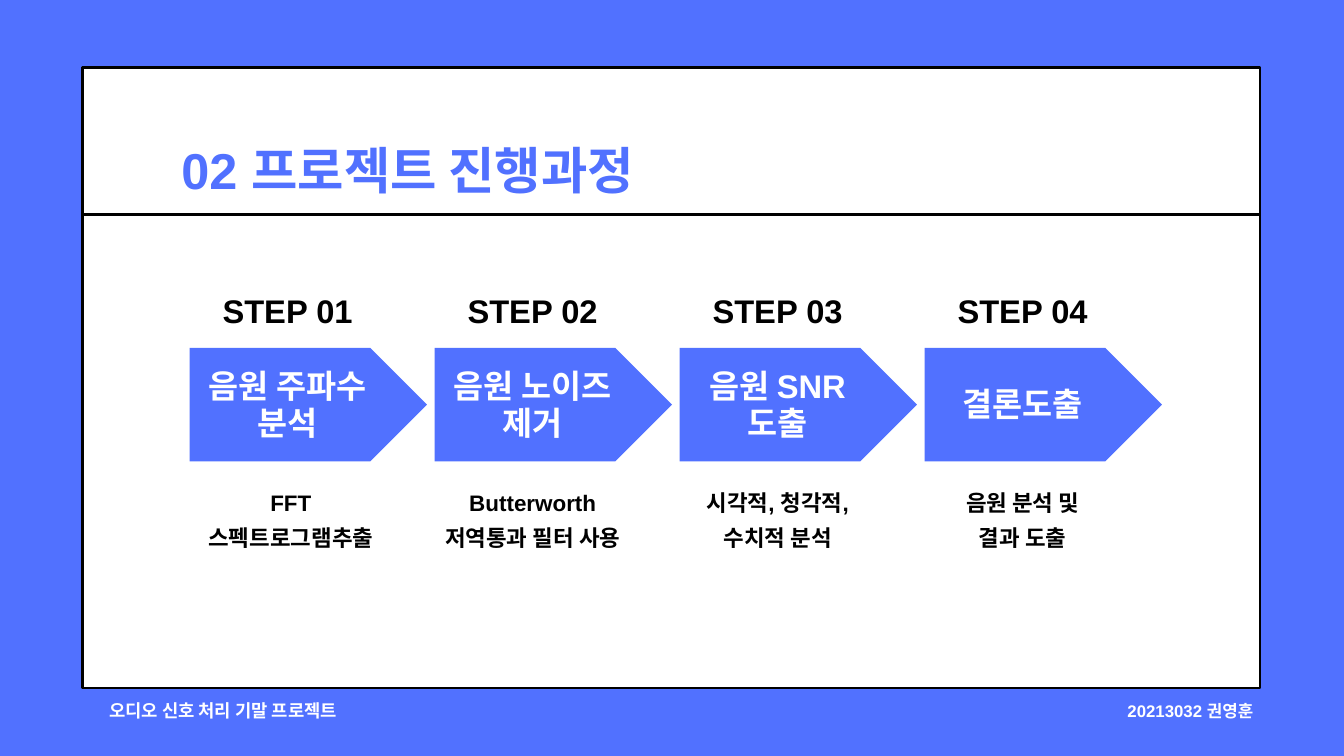
from lxml.etree import SubElement
from pptx import Presentation
from pptx.dml.color import RGBColor
from pptx.enum.shapes import MSO_CONNECTOR, MSO_SHAPE
from pptx.enum.text import MSO_ANCHOR, MSO_AUTO_SIZE, PP_ALIGN
from pptx.oxml.ns import qn
from pptx.util import Pt

BLUE = RGBColor(0x51, 0x71, 0xFF)
WHITE = RGBColor(0xFF, 0xFF, 0xFF)
BLACK = RGBColor(0x00, 0x00, 0x00)
PX = 9525
COLUMN_LEFT, COLUMN_PITCH, LABEL_WIDTH = 271, 350, 280


def write(holder, text, size, spacing, color, align=PP_ALIGN.CENTER, anchor=MSO_ANCHOR.TOP, right=0):
    frame = holder.text_frame
    frame.text = text
    frame.word_wrap = True
    frame.auto_size = MSO_AUTO_SIZE.NONE
    frame.vertical_anchor = anchor
    frame.margin_left = frame.margin_top = frame.margin_bottom = 0
    frame.margin_right = right * PX
    for paragraph in frame.paragraphs:
        paragraph.alignment = align
        paragraph.line_spacing = Pt(spacing)
        paragraph.space_before = Pt(0)
        paragraph.font.name = "Arial"
        paragraph.font.size = Pt(size)
        paragraph.font.bold = True
        paragraph.font.color.rgb = color


def add_text(left, top, width, height, *style, **options):
    box = slide.shapes.add_textbox(left * PX, top * PX, width * PX, height * PX)
    write(box, *style, **options)


prs = Presentation()
prs.slide_width = 1920 * PX
prs.slide_height = 1080 * PX
slide = prs.slides.add_slide(prs.slide_layouts[5])
slide.background.fill.solid()
slide.background.fill.fore_color.rgb = BLUE

panel = slide.shapes.add_shape(MSO_SHAPE.RECTANGLE, 118 * PX, 97 * PX, 1682 * PX, 886 * PX)
panel.shadow.inherit = False
panel.fill.solid()
panel.fill.fore_color.rgb = WHITE
panel.line.color.rgb = BLACK
panel.line.width = Pt(3)

title = slide.shapes.title
title._element.addprevious(panel._element)
title.left, title.top, title.width, title.height = 259 * PX, 184 * PX, 723 * PX, 93 * PX
write(title, "02 프로젝트 진행과정", 54, 75.5, BLUE, align=PP_ALIGN.LEFT)

divider = slide.shapes.add_connector(MSO_CONNECTOR.STRAIGHT, 120 * PX, 306 * PX, 1800 * PX, 306 * PX)
divider.line.color.rgb = BLACK
divider.line.width = Pt(3)
SubElement(divider._element.spPr, qn("a:effectLst"))

steps = [
    ("음원 주파수 분석", "FFT 스펙트로그램추출", 289),
    ("음원 노이즈 제거", "Butterworth\n저역통과 필터 사용", LABEL_WIDTH),
    ("음원 SNR\n도출", "시각적, 청각적,\n수치적 분석", LABEL_WIDTH),
    ("결론도출", "음원 분석 및\n결과 도출", LABEL_WIDTH),
]
for index, (task, detail, detail_width) in enumerate(steps):
    left = COLUMN_LEFT + index * COLUMN_PITCH
    add_text(left, 417, LABEL_WIDTH, 55, f"STEP {index + 1:02}", 35, 40.6, BLACK)

    arrow = slide.shapes.add_shape(MSO_SHAPE.PENTAGON, left * PX, 497 * PX, 339 * PX, 162 * PX)
    arrow.shadow.inherit = False
    arrow.fill.solid()
    arrow.fill.fore_color.rgb = BLUE
    arrow.line.fill.background()
    write(arrow, task, 35, 40.6, WHITE, anchor=MSO_ANCHOR.MIDDLE, right=19)

    add_text(left, 688, detail_width, 96, detail, 24, 37.2, BLACK)

add_text(156, 995, 363, 34, "오디오 신호 처리 기말 프로젝트", 19, 26.6, WHITE, align=PP_ALIGN.LEFT)
add_text(1600, 996, 201, 31, "20213032 권영훈", 18, 25.2, WHITE)

prs.save("out.pptx")
